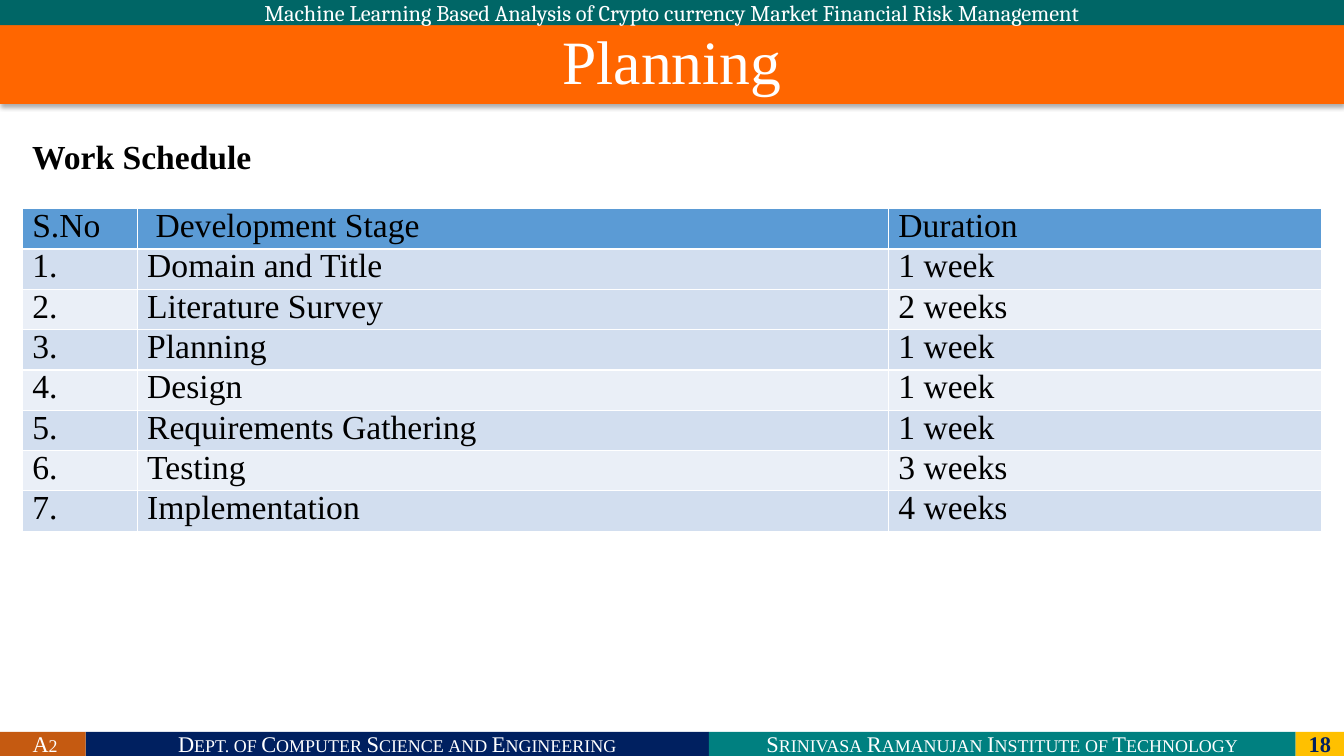
from dataclasses import dataclass

from lxml import etree
from pptx import Presentation
from pptx.dml.color import RGBColor
from pptx.enum import shapes, text
from pptx.oxml import ns
from pptx.util import Inches, Pt

SERIF = "Times New Roman"
WHITE, BLACK, NAVY = "FFFFFF", "000000", "002060"
HEADER_BLUE, BAND_DARK, BAND_LIGHT = "5B9BD5", "D2DEEF", "EAEFF7"
SLIDE_WIDTH, SLIDE_HEIGHT = 13.33, 7.5
FOOTER_TOP, FOOTER_HEIGHT = 7.26, 0.24


@dataclass
class Bar:
    wording: str
    left: float
    top: float
    width: float
    height: float
    fill: str
    color: str = WHITE
    font: str = SERIF
    bold: bool = False
    small_caps: bool = False


BARS = [
    Bar("Machine Learning Based Analysis of Crypto currency Market Financial Risk Management",
        0, 0, SLIDE_WIDTH, 0.25, "006666", font="Cambria"),
    Bar("Dept. of Computer Science and Engineering",
        0.85, FOOTER_TOP, 6.18, FOOTER_HEIGHT, NAVY, small_caps=True),
    Bar("Srinivasa Ramanujan Institute of Technology",
        7.03, FOOTER_TOP, 5.82, FOOTER_HEIGHT, "008080", small_caps=True),
    Bar("18", 12.85, FOOTER_TOP, 0.48, FOOTER_HEIGHT, "FFC000", color=NAVY, bold=True),
    Bar(" A2", 0, FOOTER_TOP, 0.85, FOOTER_HEIGHT, "C55A11", small_caps=True),
]

COLUMN_WIDTHS = [1.14, 7.45, 4.3]
ROW_HEIGHT = 0.4
STAGES = [
    ("Domain and Title", "1 week"),
    ("Literature Survey", "2 weeks"),
    ("Planning", "1 week"),
    ("Design", "1 week"),
    ("Requirements Gathering", "1 week"),
    ("Testing", "3 weeks"),
    ("Implementation", "4 weeks"),
]


def rgb(color: str) -> RGBColor:
    return RGBColor.from_string(color)


def paint(shape, color: str) -> None:
    """Fill with one colour and remove the outline."""
    shape.fill.solid()
    shape.fill.fore_color.rgb = rgb(color)
    shape.line.fill.background()


def format_paragraph(paragraph, size: float, color: str, font: str = SERIF,
                     bold: bool = False, align=text.PP_ALIGN.CENTER,
                     line_spacing: float = 1.0) -> None:
    paragraph.alignment = align
    paragraph.line_spacing = line_spacing
    paragraph.font.name = font
    paragraph.font.size = Pt(size)
    paragraph.font.bold = bold
    paragraph.font.color.rgb = rgb(color)


def format_body(paragraph, bold: bool = False) -> None:
    format_paragraph(paragraph, 24, BLACK, bold=bold,
                     align=text.PP_ALIGN.JUSTIFY, line_spacing=0.8)


def place(shape, left: float, top: float, width: float, height: float) -> None:
    shape.left, shape.top = Inches(left), Inches(top)
    shape.width, shape.height = Inches(width), Inches(height)


def add_bar(slide, bar: Bar) -> None:
    shape = slide.shapes.add_shape(
        shapes.MSO_SHAPE.RECTANGLE, Inches(bar.left), Inches(bar.top),
        Inches(bar.width), Inches(bar.height))
    shape.shadow.inherit = False
    paint(shape, bar.fill)
    frame = shape.text_frame
    frame.text = bar.wording
    frame.vertical_anchor = text.MSO_ANCHOR.MIDDLE
    paragraph = frame.paragraphs[0]
    format_paragraph(paragraph, 16, bar.color, bar.font, bar.bold)
    if bar.small_caps:
        paragraph.runs[0]._r.get_or_add_rPr().set("cap", "small")


def add_shadow(shape) -> None:
    """Drop a soft black shadow straight down."""
    shape.shadow.inherit = False
    effects = shape._element.spPr.find(ns.qn("a:effectLst"))
    shadow = etree.SubElement(
        effects, ns.qn("a:outerShdw"), blurRad=str(Pt(3.5)), dist=str(Pt(2.2)),
        dir="5400000", algn="t", rotWithShape="0")
    color = etree.SubElement(shadow, ns.qn("a:srgbClr"), val=BLACK)
    etree.SubElement(color, ns.qn("a:alpha"), val="32000")


def format_title(title) -> None:
    place(title, 0, 0.25, SLIDE_WIDTH, 0.78)
    paint(title, "FF6600")
    add_shadow(title)
    frame = title.text_frame
    frame.text = "Planning"
    frame.auto_size = text.MSO_AUTO_SIZE.NONE
    frame.vertical_anchor = text.MSO_ANCHOR.MIDDLE
    format_paragraph(frame.paragraphs[0], 44, WHITE, line_spacing=0.9)


def cell_color(row: int, column: int) -> str:
    if row == 0:
        return HEADER_BLUE
    if row % 2 or (row, column) == (2, 1):
        return BAND_DARK
    return BAND_LIGHT


def add_schedule(slide) -> None:
    rows = [("S.No", " Development Stage", "Duration")]
    rows += [(f"{number}.", *stage) for number, stage in enumerate(STAGES, 1)]
    table = slide.shapes.add_table(
        len(rows), len(COLUMN_WIDTHS), Inches(0.22), Inches(2.07),
        Inches(sum(COLUMN_WIDTHS)), Inches(ROW_HEIGHT * len(rows))).table
    for column, width in zip(table.columns, COLUMN_WIDTHS):
        column.width = Inches(width)
    for row_index, row in enumerate(rows):
        for column_index, wording in enumerate(row):
            cell = table.cell(row_index, column_index)
            cell.fill.solid()
            cell.fill.fore_color.rgb = rgb(cell_color(row_index, column_index))
            cell.text = wording
            format_body(cell.text_frame.paragraphs[0])


def add_heading(slide) -> None:
    heading = slide.shapes.add_textbox(
        Inches(0.22), Inches(1.38), Inches(6.76), Inches(0.42))
    frame = heading.text_frame
    frame.word_wrap = True
    frame.text = "Work Schedule"
    format_body(frame.paragraphs[0], bold=True)


def main() -> None:
    presentation = Presentation()
    presentation.slide_width = Inches(SLIDE_WIDTH)
    presentation.slide_height = Inches(SLIDE_HEIGHT)
    slide = presentation.slides.add_slide(presentation.slide_layouts[5])
    format_title(slide.shapes.title)
    for bar in BARS:
        add_bar(slide, bar)
    add_schedule(slide)
    add_heading(slide)
    presentation.save("out.pptx")


if __name__ == "__main__":
    main()
